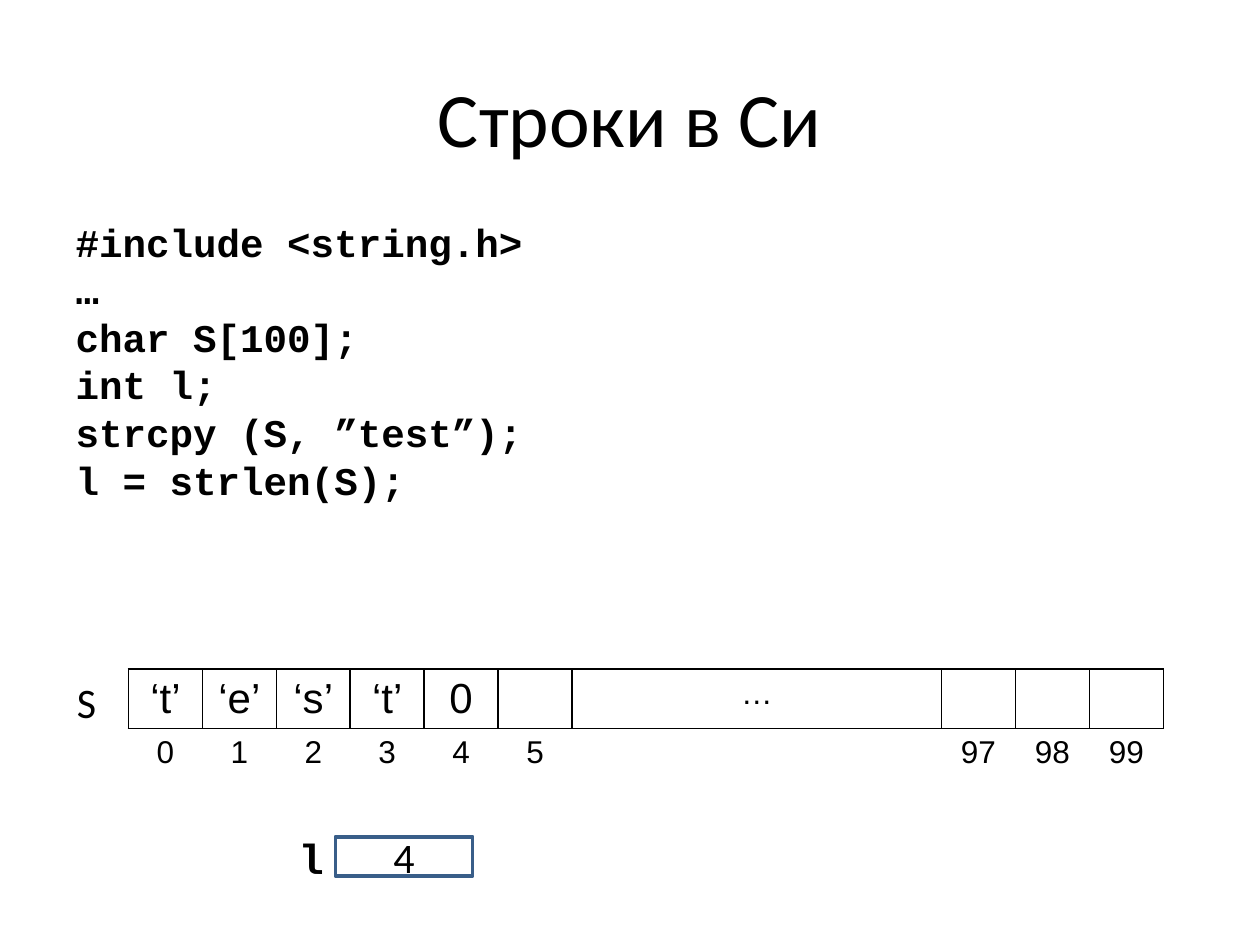
"""Build a slide that shows how a C string is stored in a character array."""
from lxml.etree import SubElement
from pptx import Presentation
from pptx.dml.color import RGBColor
from pptx.enum.shapes import MSO_SHAPE
from pptx.enum.text import MSO_ANCHOR, MSO_AUTO_SIZE, PP_ALIGN
from pptx.oxml.ns import qn
from pptx.util import Cm, Pt

BLACK = RGBColor(0x00, 0x00, 0x00)
BLUE = RGBColor(0x39, 0x5E, 0x89)
PLAIN_TABLE_STYLE = "{2D5ABB26-0587-4C30-8999-92F81FD0307C}"


def write(paragraph, text, font="Arial", size=18, bold=False, align=PP_ALIGN.LEFT):
    paragraph.alignment = align
    run = paragraph.add_run()
    run.text = text
    run.font.name = font
    run.font.size = Pt(size)
    run.font.bold = bold
    run.font.color.rgb = BLACK


def add_borders(cell):
    properties = cell._tc.get_or_add_tcPr()
    for side in ("lnL", "lnR", "lnT", "lnB"):
        line = SubElement(properties, qn(f"a:{side}"), w=str(Pt(1)))
        fill = SubElement(line, qn("a:solidFill"))
        SubElement(fill, qn("a:srgbClr"), val=str(BLACK))


presentation = Presentation()
presentation.slide_width = Cm(25.4)
presentation.slide_height = Cm(19.05)
slide = presentation.slides.add_slide(presentation.slide_layouts[1])

title = slide.shapes.title
title.left, title.top, title.width, title.height = Cm(1.27), Cm(0.76), Cm(22.86), Cm(3.18)
title.text_frame.vertical_anchor = MSO_ANCHOR.MIDDLE
write(title.text_frame.paragraphs[0], "Строки в Си", font="Calibri", size=44, align=PP_ALIGN.CENTER)

code = slide.placeholders[1]
code.left, code.top, code.width, code.height = Cm(1.27), Cm(4.45), Cm(22.86), Cm(6.07)
code.text_frame.auto_size = MSO_AUTO_SIZE.NONE
code_lines = [
    "#include <string.h>",
    "…",
    "char S[100];",
    "int l;",
    "strcpy (S, ”test”);",
    "l = strlen(S);",
]
for index, code_line in enumerate(code_lines):
    paragraph = code.text_frame.add_paragraph() if index else code.text_frame.paragraphs[0]
    paragraph.line_spacing = 0.8
    paragraph.space_before = Pt(5.7 if index else 0)
    properties = paragraph._p.get_or_add_pPr()
    properties.set("marL", str(Cm(0.97)))
    properties.set("indent", str(-Cm(0.97)))
    SubElement(properties, qn("a:buNone"))
    write(paragraph, code_line, font="Courier New", size=22.4, bold=True)

values = ["‘t’", "‘e’", "‘s’", "‘t’", "0"]
indexes = {column: str(column) for column in range(6)}
indexes.update({column: str(column + 86) for column in range(11, 14)})
column_count = 14
column_width, row_height = Cm(1.49), Cm(1.04)
table_frame = slide.shapes.add_table(
    2, column_count, Cm(2.59), Cm(13.49), column_width * column_count, row_height * 2
)
table = table_frame.table
table.first_row = False
table.horz_banding = False
table._tbl.tblPr.find(qn("a:tableStyleId")).text = PLAIN_TABLE_STYLE
for column in table.columns:
    column.width = column_width
for row in table.rows:
    row.height = row_height
for column in range(column_count):
    add_borders(table.cell(0, column))
    for row in range(2):
        table.cell(row, column).fill.background()
for column, value in enumerate(values):
    write(table.cell(0, column).text_frame.paragraphs[0], value, size=24, align=PP_ALIGN.CENTER)
for column, label in indexes.items():
    write(table.cell(1, column).text_frame.paragraphs[0], label, align=PP_ALIGN.CENTER)
gap_cell = table.cell(0, 6)
gap_cell.merge(table.cell(0, 10))
write(gap_cell.text_frame.paragraphs[0], "…", align=PP_ALIGN.CENTER)

variables = [
    ("S", Cm(1.3), Cm(13.51), "Calibri", False),
    ("l", Cm(5.77), Cm(16.66), "Courier New", True),
]
for name, left, top, font, bold in variables:
    label_box = slide.shapes.add_textbox(left, top, Cm(1), Cm(1.27))
    label_box.text_frame.word_wrap = True
    write(label_box.text_frame.paragraphs[0], name, font=font, size=24, bold=bold)

length_box = slide.shapes.add_shape(
    MSO_SHAPE.FLOWCHART_PROCESS, Cm(6.76), Cm(16.87), Cm(2.77), Cm(0.79)
)
length_box.shadow.inherit = False
length_box.fill.background()
length_box.line.color.rgb = BLUE
length_box.line.width = Pt(2)
length_frame = length_box.text_frame
length_frame.margin_top = length_frame.margin_bottom = 0
length_frame.vertical_anchor = MSO_ANCHOR.MIDDLE
write(length_frame.paragraphs[0], "4", font="Calibri", size=24, align=PP_ALIGN.CENTER)

presentation.save("out.pptx")
